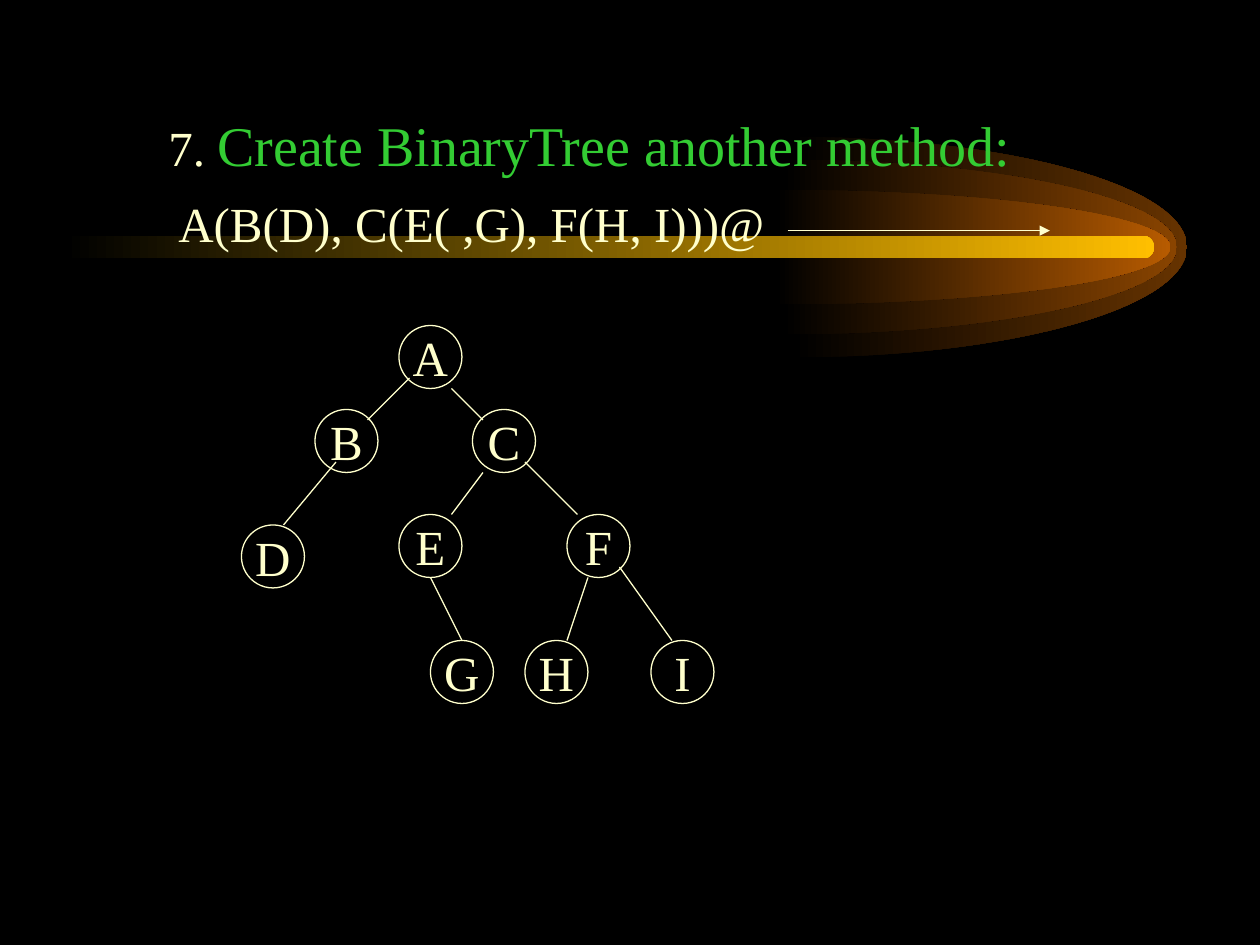
import pptx
import pptx.dml.color
import pptx.enum.shapes
import pptx.enum.text
import pptx.oxml
import pptx.oxml.ns
import pptx.util

Pt = pptx.util.Pt
RGBColor = pptx.dml.color.RGBColor
Shape = pptx.enum.shapes.MSO_SHAPE
Anchor = pptx.enum.text.MSO_ANCHOR
Align = pptx.enum.text.PP_ALIGN
NAMESPACE = pptx.oxml.ns.nsdecls("a")

BLACK = RGBColor(0x00, 0x00, 0x00)
CREAM = RGBColor(0xFF, 0xFF, 0xCC)
GREEN = RGBColor(0x33, 0xCC, 0x33)
GOLD = RGBColor(0xFF, 0xBF, 0x00)
BROWN = RGBColor(0x66, 0x33, 0x00)
RUST = RGBColor(0x89, 0x44, 0x00)
AMBER = RGBColor(0xB7, 0x5B, 0x00)

FONT = "Times New Roman"
NODE_SIZE = 36

# Half-ellipses of the comet: left, half height, colour
GLOWS = [(452.88, 63, BROWN), (447.12, 50, RUST), (443.52, 32.76, AMBER)]
GLOW_WIDTH = 225.36
CURVE = 0.55  # control point distance for a quarter ellipse

# Top-left corner of each node, relative to the tree
NODES = {
    "A": (90, 0), "B": (42, 48), "C": (132, 48),
    "D": (0, 114), "E": (90, 108), "F": (186, 108),
    "G": (108, 180), "H": (162, 180), "I": (234, 180),
}
# Parent, offset in the parent, child, offset in the child
EDGES = [
    ("A", (6, 30), "B", (30, 6)),
    ("B", (12, 30), "D", (24, 0)),
    ("A", (30, 36), "C", (6, 6)),
    ("C", (6, 36), "E", (30, 0)),
    ("C", (30, 30), "F", (6, 0)),
    ("E", (18, 36), "G", (18, 0)),
    ("F", (12, 36), "H", (24, 0)),
    ("F", (30, 30), "I", (12, 0)),
]


def set_values(target, values):
    for name, value in values.items():
        setattr(target, name, value)


def add_runs(paragraph, runs, align):
    paragraph.alignment = align
    for text, size, color in runs:
        run = paragraph.add_run()
        run.text = text
        set_values(run.font, {"name": FONT, "size": Pt(size)})
        run.font.color.rgb = color


def format_frame(frame, anchor, wrap):
    set_values(frame, {
        "margin_left": Pt(7.2), "margin_right": Pt(7.2),
        "margin_top": Pt(3.6), "margin_bottom": Pt(3.6),
        "vertical_anchor": anchor, "word_wrap": wrap,
        "auto_size": pptx.enum.text.MSO_AUTO_SIZE.NONE,
    })


def fade_from_black(shape, color):
    shape.shadow.inherit = False
    shape.line.fill.background()
    shape.fill.gradient()
    shape.fill.gradient_angle = 0
    for stop, stop_color in zip(shape.fill.gradient_stops, (BLACK, color)):
        stop.color.rgb = stop_color


def add_line(slide, start, end, arrow=False):
    connector = slide.shapes.add_connector(
        pptx.enum.shapes.MSO_CONNECTOR.STRAIGHT, *map(Pt, (*start, *end)))
    connector.line.color.rgb = CREAM
    connector.line.width = Pt(0.75)
    if arrow:
        head = pptx.oxml.parse_xml(f'<a:tailEnd {NAMESPACE} type="triangle"/>')
        connector.line._get_or_add_ln().append(head)
    connector._element.spPr.append(pptx.oxml.parse_xml(f"<a:effectLst {NAMESPACE}/>"))


def add_half_ellipse(slide, left, middle, width, half_height):
    builder = slide.shapes.build_freeform(Pt(left), Pt(middle - half_height))
    builder.add_line_segments(
        [(Pt(left + width), Pt(middle)), (Pt(left), Pt(middle + half_height))],
        close=True)
    shape = builder.convert_to_shape()
    # Bend the two straight segments into quarter ellipses
    reach, rise = CURVE * width, CURVE * half_height
    curves = [
        [(reach, 0), (width, half_height - rise), (width, half_height)],
        [(width, half_height + rise), (reach, 2 * half_height), (0, 2 * half_height)],
    ]
    segments = shape._element.findall(".//" + pptx.oxml.ns.qn("a:lnTo"))
    for segment, curve in zip(segments, curves):
        points = "".join(f'<a:pt x="{Pt(x)}" y="{Pt(y)}"/>' for x, y in curve)
        segment.getparent().replace(segment, pptx.oxml.parse_xml(
            f"<a:cubicBezTo {NAMESPACE}>{points}</a:cubicBezTo>"))
    return shape


def add_comet(slide, left, middle, width, height):
    # Glow, from the outer layer to the inner one
    for glow_left, half_height, color in GLOWS:
        glow = add_half_ellipse(slide, glow_left, middle, GLOW_WIDTH, half_height)
        fade_from_black(glow, color)
    # Bright bar
    bar = slide.shapes.add_shape(
        Shape.ROUNDED_RECTANGLE, *map(Pt, (left, middle - height / 2, width, height)))
    bar.adjustments[0] = 0.5
    fade_from_black(bar, GOLD)


def add_heading(slide, left, top, width, height):
    # Title, brought in front of the comet
    title = slide.shapes.title
    set_values(title, {"left": Pt(left), "top": Pt(top),
                       "width": Pt(width), "height": Pt(height)})
    title._element.getparent().append(title._element)
    frame = title.text_frame
    format_frame(frame, Anchor.TOP, True)
    heading, expression = frame.paragraphs[0], frame.add_paragraph()
    add_runs(heading, [("7. ", 28, CREAM),
                       ("Create BinaryTree another method:", 32, GREEN)], Align.LEFT)
    # Tree as a string, slightly indented
    add_runs(expression, [("A(B(D), C(E( ,G), F(H, I)))@", 28, CREAM)], Align.LEFT)
    expression.space_before = Pt(9)
    for paragraph, indent in ((heading, 35), (expression, 40.7)):
        properties = paragraph._p.get_or_add_pPr()
        properties.set("marL", str(Pt(indent)))
        properties.set("indent", "0")


def add_tree(slide, left, top):
    # Nodes
    for letter, (x, y) in NODES.items():
        node = slide.shapes.add_shape(
            Shape.OVAL, *map(Pt, (left + x, top + y, NODE_SIZE, NODE_SIZE)))
        node.shadow.inherit = False
        node.fill.background()
        node.line.color.rgb = CREAM
        node.line.width = Pt(0.75)
        format_frame(node.text_frame, Anchor.MIDDLE, False)
        add_runs(node.text_frame.paragraphs[0], [(letter, 28, CREAM)], Align.CENTER)
    # Edges
    for parent, start, child, end in EDGES:
        ends = [(left + NODES[letter][0] + x, top + NODES[letter][1] + y)
                for letter, (x, y) in ((parent, start), (child, end))]
        add_line(slide, *ends)


def main():
    presentation = pptx.Presentation()
    set_values(presentation, {"slide_width": Pt(720), "slide_height": Pt(540)})
    slide = presentation.slides.add_slide(presentation.slide_layouts[5])
    slide.background.fill.solid()
    slide.background.fill.fore_color.rgb = BLACK
    add_comet(slide, left=36, middle=141.2, width=623.52, height=13)
    add_heading(slide, left=54, top=59.3, width=612, height=90)
    add_tree(slide, left=138, top=186)
    add_line(slide, (450, 131.8), (600, 131.8), arrow=True)
    presentation.save("out.pptx")


if __name__ == "__main__":
    main()
